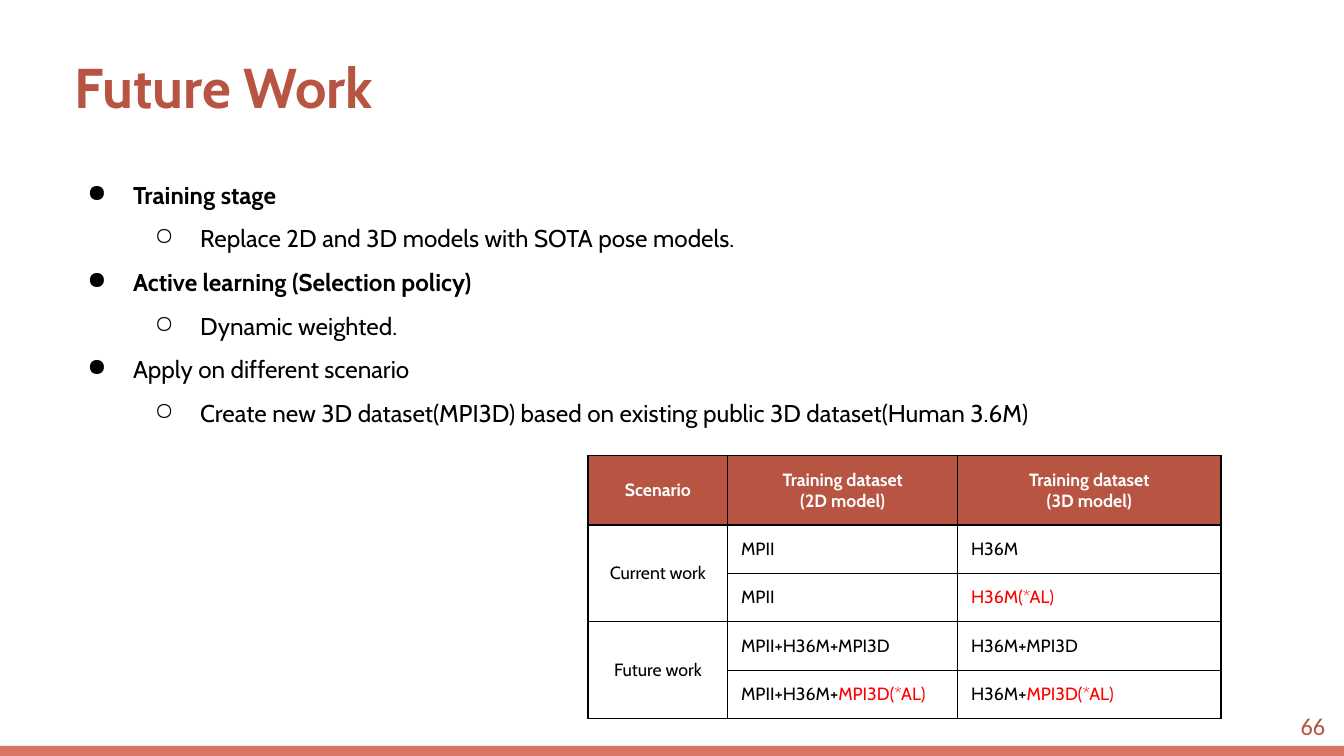
"""Build the Future Work slide with an outline, a dataset table and a footer bar."""
from lxml.etree import SubElement
from pptx import Presentation
from pptx.dml.color import RGBColor
from pptx.enum.shapes import MSO_SHAPE
from pptx.enum.text import MSO_ANCHOR as Anchor, PP_ALIGN as Align
from pptx.oxml.ns import qn
from pptx.util import Inches, Pt

COLORS = {
    "brick": "B75442",
    "coral": "DB7563",
    "black": "000000",
    "white": "FFFFFF",
    "red": "FF0000",
}
TITLE = "Future Work"
PAGE_NUMBER = "66"
OUTLINE = [
    (0, "Training stage", True),
    (1, "Replace 2D and 3D models with SOTA pose models.", False),
    (0, "Active learning (Selection policy)", True),
    (1, "Dynamic weighted.", False),
    (0, "Apply on different scenario", False),
    (1, "Create new 3D dataset(MPI3D) based on existing public 3D dataset(Human 3.6M)", False),
]
BULLETS = ["●", "○"]
HEADERS = ["Scenario", "Training dataset\n(2D model)", "Training dataset\n(3D model)"]
SCENARIOS = [
    ("Current work", [
        (("MPII", ""), ("H36M", "")),
        (("MPII", ""), ("", "H36M(*AL)")),
    ]),
    ("Future work", [
        (("MPII+H36M+MPI3D", ""), ("H36M+MPI3D", "")),
        (("MPII+H36M+", "MPI3D(*AL)"), ("H36M+", "MPI3D(*AL)")),
    ]),
]
COLUMN_WIDTHS = [2.08, 3.42, 3.92]
ROW_HEIGHTS = [1.03] + [0.72] * 4
MARGIN = Inches(0.2)
SIDES = ("left", "right", "top", "bottom")


def rgb(name):
    return RGBColor.from_string(COLORS[name])


def add_text(paragraph, text, size=26, font="Cabin", color="black", bold=False, align=Align.LEFT):
    paragraph.alignment = align
    run = paragraph.add_run()
    run.text = text
    run.font.size = Pt(size)
    run.font.name = font
    run.font.bold = bold
    run.font.color.rgb = rgb(color)


def set_margins(target):
    for side in SIDES:
        setattr(target, f"margin_{side}", MARGIN)


def add_box(slide, left, top, width, height):
    box = slide.shapes.add_textbox(Inches(left), Inches(top), Inches(width), Inches(height))
    frame = box.text_frame
    frame.word_wrap = True
    set_margins(frame)
    return frame


def add_bullet(paragraph, level):
    paragraph.level = level
    paragraph.line_spacing = 1.5
    properties = paragraph._p.get_or_add_pPr()
    properties.set("marL", str(Inches(level + 1)))
    properties.set("indent", str(Inches(-0.68)))
    bullet_color = SubElement(properties, qn("a:buClr"))
    SubElement(bullet_color, qn("a:srgbClr"), val=COLORS["black"])
    SubElement(properties, qn("a:buChar"), char=BULLETS[level])


def add_outline(slide):
    frame = add_box(slide, 0.78, 2.26, 19.14, 8.13)
    for index, (level, text, bold) in enumerate(OUTLINE):
        paragraph = frame.add_paragraph() if index else frame.paragraphs[0]
        add_bullet(paragraph, level)
        add_text(paragraph, text, bold=bold)


def style_cell(cell, fill=None):
    set_margins(cell)
    properties = cell._tc.get_or_add_tcPr()
    for side in SIDES:
        border = SubElement(properties, qn(f"a:ln{side[0].upper()}"), w=str(Pt(1.5)))
        SubElement(SubElement(border, qn("a:solidFill")), qn("a:srgbClr"), val=COLORS["black"])
    if fill:
        cell.fill.solid()
        cell.fill.fore_color.rgb = rgb(fill)
    else:
        cell.fill.background()


def fill_label(cell, text, **text_format):
    cell.vertical_anchor = Anchor.MIDDLE
    frame = cell.text_frame
    for index, line in enumerate(text.split("\n")):
        paragraph = frame.add_paragraph() if index else frame.paragraphs[0]
        add_text(paragraph, line, size=19, align=Align.CENTER, **text_format)


def add_dataset_table(slide):
    table = slide.shapes.add_table(
        len(ROW_HEIGHTS), len(COLUMN_WIDTHS), Inches(8.75), Inches(6.78),
        Inches(sum(COLUMN_WIDTHS)), Inches(sum(ROW_HEIGHTS)),
    ).table
    for column, width in zip(table.columns, COLUMN_WIDTHS):
        column.width = Inches(width)
    for index, height in enumerate(ROW_HEIGHTS):
        table.rows[index].height = Inches(height)
        for cell in table.rows[index].cells:
            style_cell(cell, None if index else "brick")
    for column, header in enumerate(HEADERS):
        fill_label(table.cell(0, column), header, color="white", bold=True)
    row = 1
    for scenario, datasets in SCENARIOS:
        label = table.cell(row, 0)
        label.merge(table.cell(row + len(datasets) - 1, 0))
        fill_label(label, scenario)
        for entries in datasets:
            for column, parts in enumerate(entries, start=1):
                paragraph = table.cell(row, column).text_frame.paragraphs[0]
                for text, color in zip(parts, ("black", "red")):
                    if text:
                        add_text(paragraph, text, size=19, color=color)
            row += 1


def add_footer_bar(slide):
    bar = slide.shapes.add_shape(
        MSO_SHAPE.RECTANGLE, Inches(-0.06), Inches(11.1), Inches(20.12), Inches(0.26))
    bar.shadow.inherit = False
    bar.fill.solid()
    bar.fill.fore_color.rgb = rgb("coral")
    bar.line.color.rgb = rgb("coral")
    bar.line.width = Pt(0.75)


def main():
    presentation = Presentation()
    presentation.slide_width = Inches(20)
    presentation.slide_height = Inches(11.25)
    slide = presentation.slides.add_slide(presentation.slide_layouts[6])
    number = add_box(slide, 18.72, 10.39, 1.2, 0.86)
    add_text(number.paragraphs[0], PAGE_NUMBER, font="Calibri", color="brick", align=Align.RIGHT)
    add_outline(slide)
    title = add_box(slide, 0.91, 0.58, 17.49, 1.41)
    add_text(title.paragraphs[0], TITLE, size=60, color="brick", bold=True)
    add_footer_bar(slide)
    add_dataset_table(slide)
    presentation.save("out.pptx")


if __name__ == "__main__":
    main()
